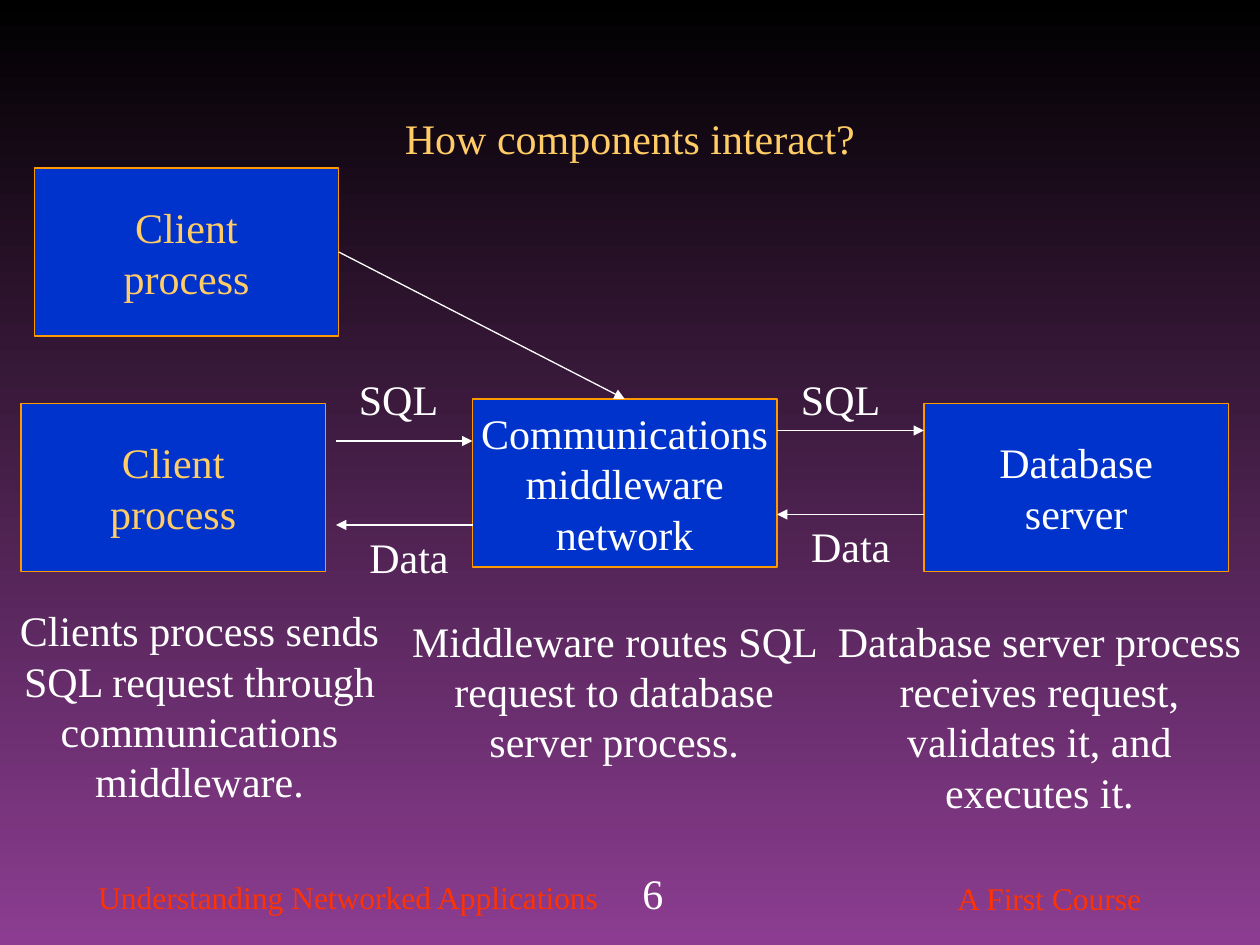
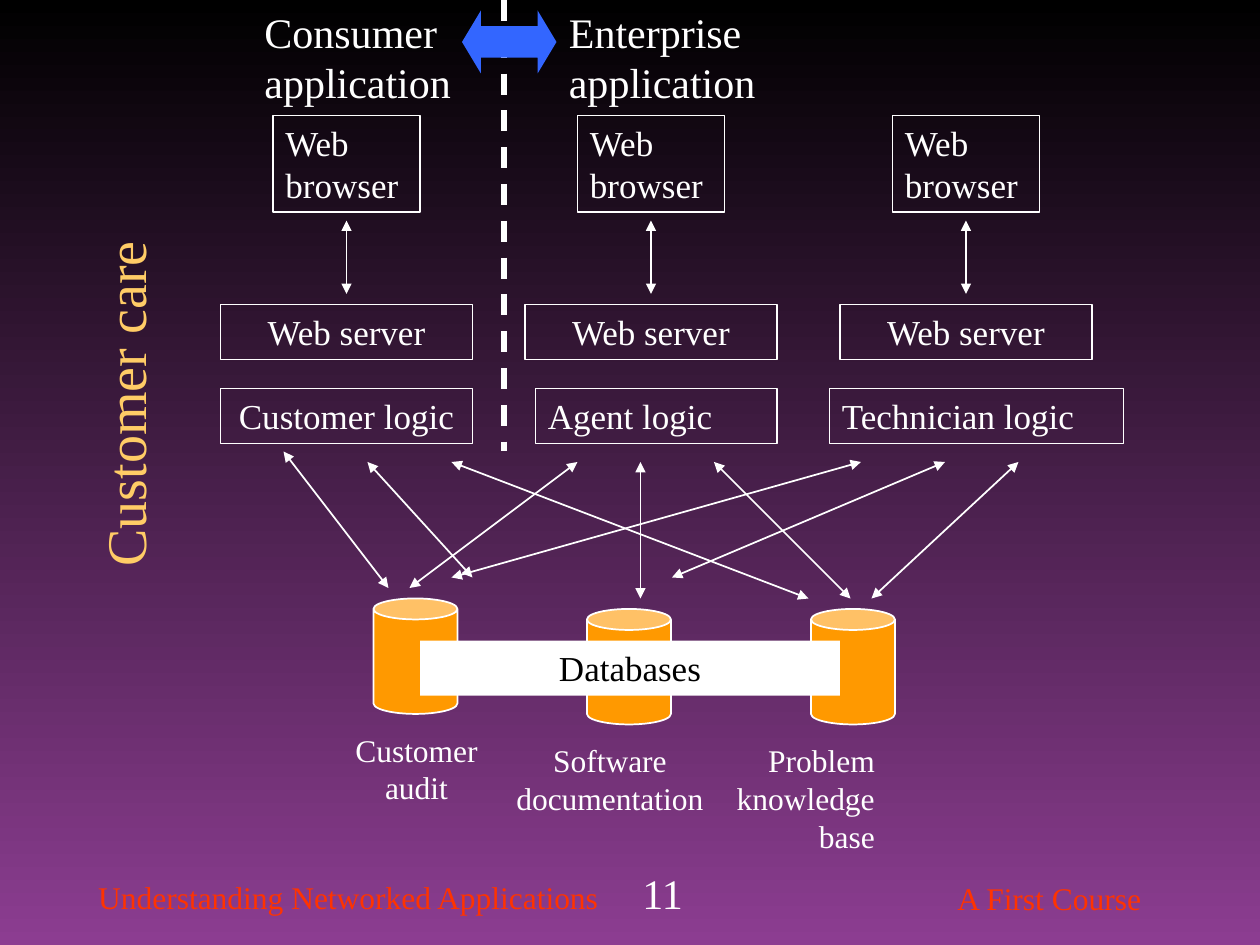
from dataclasses import dataclass
from lxml import etree
from pptx import Presentation
from pptx.dml.color import RGBColor
from pptx.enum.dml import MSO_LINE
from pptx.enum.shapes import MSO_CONNECTOR, MSO_SHAPE
from pptx.enum.text import MSO_ANCHOR, MSO_AUTO_SIZE, PP_ALIGN
from pptx.oxml.ns import qn
from pptx.util import Pt

RECT, CAN = MSO_SHAPE.RECTANGLE, MSO_SHAPE.CAN
DOUBLE_ARROW = MSO_SHAPE.LEFT_RIGHT_ARROW
STRAIGHT, DASH = MSO_CONNECTOR.STRAIGHT, MSO_LINE.DASH
LEFT, CENTER, RIGHT = PP_ALIGN.LEFT, PP_ALIGN.CENTER, PP_ALIGN.RIGHT
TOP, MIDDLE = MSO_ANCHOR.TOP, MSO_ANCHOR.MIDDLE


@dataclass(frozen=True)
class Theme:
    font: str = "Times New Roman"
    black: RGBColor = RGBColor(0x00, 0x00, 0x00)
    white: RGBColor = RGBColor(0xFF, 0xFF, 0xFF)
    purple: RGBColor = RGBColor(0x8C, 0x3D, 0x91)
    gold: RGBColor = RGBColor(0xFF, 0xCC, 0x66)
    orange: RGBColor = RGBColor(0xFF, 0x99, 0x00)
    red: RGBColor = RGBColor(0xFF, 0x33, 0x00)
    blue: RGBColor = RGBColor(0x00, 0x33, 0xCC)
    sky: RGBColor = RGBColor(0x33, 0x66, 0xFF)
    big: int = 32
    body: int = 24
    box: int = 20
    small: int = 18
    thin: float = 0.75
    line: float = 1
    thick: float = 3


T = Theme()


def put(shapes, kind, bounds, lines=(), size=T.body, color=T.white, align=LEFT,
        anchor=TOP, wrap=True, fill=None, line=None, width=T.line):
    bounds = [Pt(v) for v in bounds]
    if kind is None:
        sp = shapes.add_textbox(*bounds)
    else:
        sp = shapes.add_shape(kind, *bounds)
        sp.shadow.inherit = False
        if fill is None:
            sp.fill.background()
        else:
            sp.fill.solid()
            sp.fill.fore_color.rgb = fill
        if line is None:
            sp.line.fill.background()
        else:
            sp.line.color.rgb = line
            sp.line.width = Pt(width)
    tf = sp.text_frame
    tf.word_wrap = wrap
    tf.vertical_anchor = anchor
    for i, text in enumerate(lines):
        p = tf.add_paragraph() if i else tf.paragraphs[0]
        p.alignment = align
        r = p.add_run()
        r.text = text
        r.font.name = T.font
        r.font.size = Pt(size)
        r.font.color.rgb = color
    return sp


def link(shapes, ends, width, heads=("tailEnd",), dash=None):
    c = shapes.add_connector(STRAIGHT, *[Pt(v) for v in ends])
    c.line.color.rgb = T.white
    c.line.width = Pt(width)
    if dash is not None:
        c.line.dash_style = dash
    spPr = c._element.spPr
    for head in heads:
        etree.SubElement(spPr.find(qn("a:ln")), qn("a:" + head), type="triangle")
    etree.SubElement(spPr, qn("a:effectLst"))
    return c


prs = Presentation()
prs.slide_width, prs.slide_height = Pt(720), Pt(540)

bg = prs.slide_master.background.fill
bg.gradient()
bg.gradient_angle = 270
for stop, color in zip(bg.gradient_stops, (T.black, T.purple)):
    stop.color.rgb = color

pages = [
    ("How components interact?", "6", (54, 48, 612, 90), T.body, CENTER, MIDDLE, 0, 32.4),
    ("Customer care", "11", (-39, 198, 220, 46), T.big, LEFT, TOP, 270, 3.6),
]
for title, number, bounds, size, align, anchor, turn, bottom in pages:
    s = prs.slides.add_slide(prs.slide_layouts[5])
    sp = s.shapes.title
    sp.left, sp.top, sp.width, sp.height = [Pt(v) for v in bounds]
    sp.rotation = turn
    tf = sp.text_frame
    tf.auto_size = MSO_AUTO_SIZE.NONE
    tf.word_wrap = True
    tf.vertical_anchor = anchor
    tf.margin_bottom = Pt(bottom)
    p = tf.paragraphs[0]
    p.alignment = align
    r = p.add_run()
    r.text = title
    r.font.name = T.font
    r.font.size = Pt(size)
    r.font.color.rgb = T.gold
    put(s.shapes, None, (49, 498, 301, 29), ["Understanding Networked Applications"],
        T.small, T.red, wrap=False)
    put(s.shapes, None, (540, 498.5, 120, 29), ["A First Course"],
        T.small, T.red, wrap=False)
    put(s.shapes, None, (360, 492, 114, 36), [number])

interaction, care = [s.shapes for s in prs.slides]

processes = [
    (12, 230.4, ["Client", "process"], T.gold),
    (270, 228, ["Communications", "middleware", "network"], T.white),
    (528, 230.4, ["Database", "server"], T.white),
    (19.6, 96, ["Client", "process"], T.gold),
]
lower_client, middleware, database, upper_client = [
    put(interaction, RECT, (x, y, 174, 96), lines, T.body, color, CENTER, MIDDLE,
        False, T.blue, T.orange, T.thin)
    for x, y, lines, color in processes
]

for left, right, y in [(192, 270, 252), (444, 528, 246)]:
    link(interaction, (left, y, right, y), T.thin)
    link(interaction, (right, y + 48, left, y + 48), T.thin)

c = link(interaction, (193.6, 144, 357, 228), T.thin)
c.begin_connect(upper_client, 3)
c.end_connect(middleware, 0)

for text, x, y, w in [("SQL", 198, 210, 60), ("Data", 204, 300, 78),
                      ("Data", 456.4, 294, 60), ("SQL", 450.6, 210, 60)]:
    put(interaction, None, (x, y, w, 36), [text])

for text, x, y, w, h in [
    ("Clients process sends SQL request through communications middleware.",
     0, 342, 228, 122),
    ("Middleware routes SQL request to database server process.",
     228, 348, 246, 94),
    ("Database server process receives request, validates it, and executes it.",
     468, 348, 252, 122),
]:
    put(interaction, None, (x, y, w, h), [text], align=CENTER)

tiers = [
    (198, "Customer logic", 126, 144, CENTER),
    (372, "Agent logic", 306, 138, LEFT),
    (552, "Technician logic", 474, 168, LEFT),
]
for center, logic, x, w, align in tiers:
    put(care, RECT, (center - 42, 66, 84, 55.4), ["Web", "browser"], T.box, line=T.white)
    link(care, (center, 126, center, 168), T.line, ("headEnd", "tailEnd"))
    put(care, RECT, (center - 72, 174, 144, 31.5), ["Web server"], T.box,
        align=CENTER, line=T.white)
    put(care, RECT, (x, 222, w, 31.5), [logic], T.box, align=align, line=T.white)

stores = [
    (213.4, 342, ["Customer", "audit"], 193, 90, 50.4, CENTER),
    (335.4, 348, ["Software", "documentation"], 284, 129, 50.4, CENTER),
    (463.4, 348, ["Problem", "knowledge", "base"], 407, 100, 72, RIGHT),
]
for x, y, lines, label_x, label_w, label_h, align in stores:
    store = care.add_group_shape().shapes
    put(store, CAN, (x, y, 48, 66), fill=T.orange, line=T.white)
    put(store, None, (label_x, y + 72, label_w, label_h), lines, T.small, align=align)

for ends in [
    (162, 258, 222, 336), (210, 264, 270, 330), (258, 264, 462, 342),
    (330, 264, 234, 336), (366, 342, 366, 264), (408, 264, 486, 342),
    (258, 330, 492, 264), (384, 330, 540, 264), (582, 264, 498, 342),
]:
    link(care, ends, T.line, ("headEnd", "tailEnd"))

put(care, RECT, (240, 366, 240, 31.5), ["Databases"], T.box, T.black, CENTER, fill=T.white)

for x, kind in [(144, "Consumer"), (318, "Enterprise")]:
    put(care, None, (x, 0, 121, 65), [kind, "application"], wrap=False)

link(care, (288, 0, 288, 258), T.thick, (), DASH)
sp = put(care, DOUBLE_ARROW, (264, 6, 54, 36), fill=T.sky)
sp.adjustments[0], sp.adjustments[1] = 0.5, 0.3

prs.save("out.pptx")
